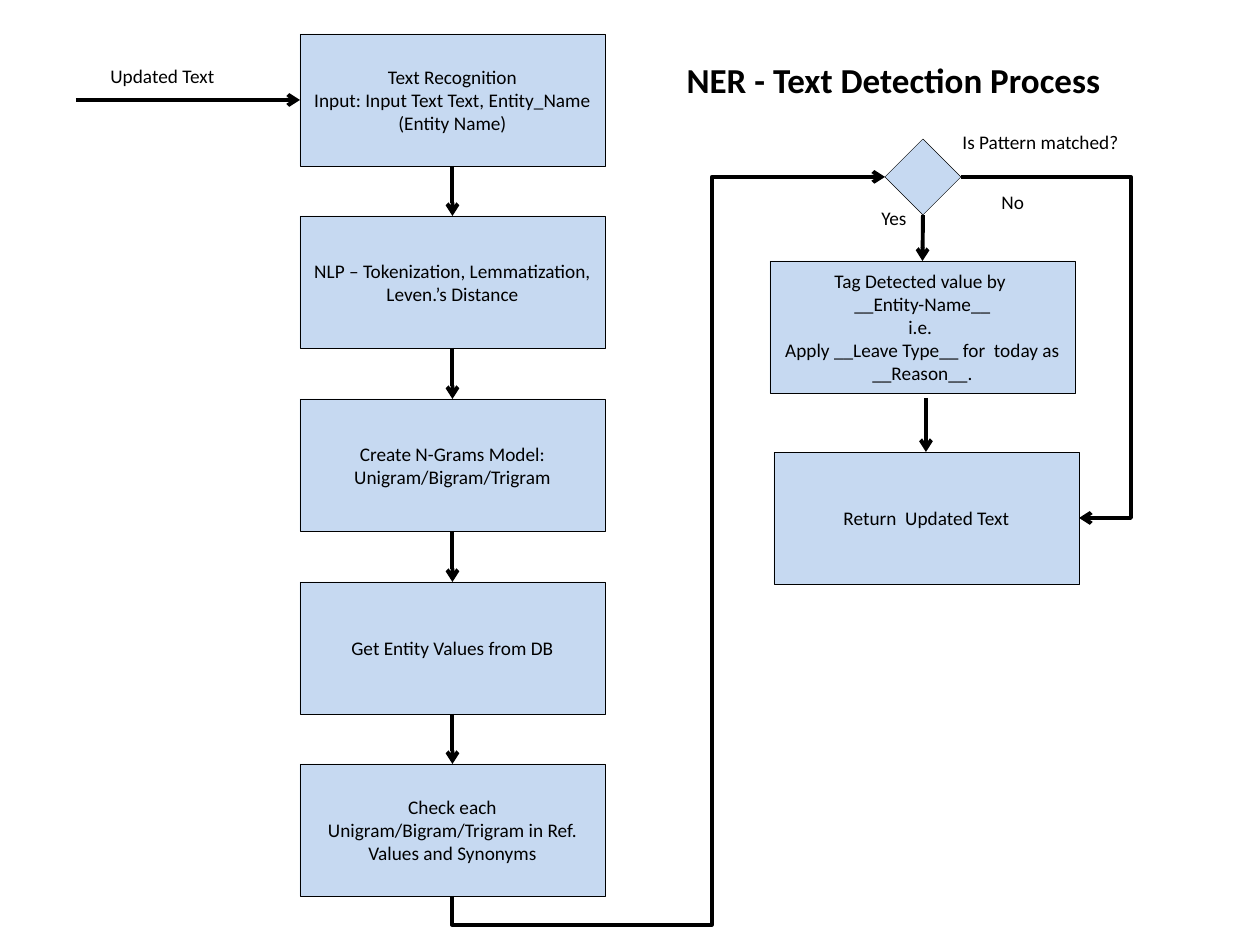
from dataclasses import dataclass

from lxml.etree import SubElement
from pptx import Presentation
from pptx.dml.color import RGBColor
from pptx.enum.shapes import MSO_CONNECTOR as Link, MSO_SHAPE as Shape
from pptx.enum.text import MSO_ANCHOR as Anchor, MSO_AUTO_SIZE as Fit, PP_ALIGN as Align
from pptx.oxml.ns import qn
from pptx.util import Emu, Inches, Pt

TOP, LEFT, BOTTOM, RIGHT = range(4)


@dataclass(frozen=True)
class Theme:
    """Colours, font and sizes of the flowchart."""
    ink: RGBColor = RGBColor(0x00, 0x00, 0x00)
    box_fill: RGBColor = RGBColor(0xC6, 0xD9, 0xF1)
    font: str = "Calibri"
    body_size: float = 11
    title_size: float = 20
    outline: float = 0.25
    arrow: float = 2.25


def px(pixels):
    """Turn picture pixels into EMU."""
    return Emu(round(pixels * Inches(1) / 126))


class Flowchart:
    """Draws the elements of a flowchart on one slide."""

    def __init__(self, page, theme):
        """Keep the slide and its style."""
        self.page, self.theme = page, theme

    def add_lines(self, frame, lines, align, size=None, bold=False):
        """Fill a text frame with one paragraph per line."""
        frame.word_wrap = True
        for index, line in enumerate(lines):
            para = frame.add_paragraph() if index else frame.paragraphs[0]
            para.alignment = align
            span = para.add_run()
            span.text = line
            span.font.name = self.theme.font
            span.font.size = Pt(size or self.theme.body_size)
            span.font.bold = bold
            span.font.color.rgb = self.theme.ink

    def title(self, text, left, top, width, height):
        """Place the slide title."""
        title = self.page.shapes.title
        title.left, title.top, title.width, title.height = map(px, (left, top, width, height))
        title.text_frame.vertical_anchor = Anchor.TOP
        title.text_frame.auto_size = Fit.NONE
        self.add_lines(title.text_frame, [text], Align.LEFT, self.theme.title_size, True)

    def label(self, text, left, top, width, height=37):
        """Add a free-standing label."""
        label = self.page.shapes.add_textbox(*map(px, (left, top, width, height)))
        self.add_lines(label.text_frame, [text], Align.LEFT)
        label.text_frame.auto_size = Fit.SHAPE_TO_FIT_TEXT

    def node(self, lines, left, top, width=305, height=132, kind=Shape.RECTANGLE):
        """Add a step box or a decision diamond."""
        node = self.page.shapes.add_shape(kind, *map(px, (left, top, width, height)))
        node.shadow.inherit = False
        node.fill.solid()
        node.fill.fore_color.rgb = self.theme.box_fill
        node.line.color.rgb = self.theme.ink
        node.line.width = Pt(self.theme.outline)
        node.text_frame.vertical_anchor = Anchor.MIDDLE
        self.add_lines(node.text_frame, lines, Align.CENTER)
        return node

    def arrow(self, start=(0, 0), end=(0, 0), kind=Link.STRAIGHT):
        """Add an arrow between two points."""
        arrow = self.page.shapes.add_connector(kind, *map(px, (*start, *end)))
        arrow.line.color.rgb = self.theme.ink
        arrow.line.width = Pt(self.theme.arrow)
        properties = arrow._element.spPr
        SubElement(properties.find(qn("a:ln")), qn("a:tailEnd"), type="arrow")
        SubElement(properties, qn("a:effectLst"))
        return arrow

    def join(self, source, target):
        """Glue a downward arrow between two nodes."""
        arrow = self.arrow()
        arrow.begin_connect(source, BOTTOM)
        arrow.end_connect(target, TOP)

    def elbow(self, start, end, preset, bends, quarter_turn=False):
        """Add a bent arrow; bends are fractions of its extent."""
        if quarter_turn:
            (x1, y1), (x2, y2) = start, end
            mid_x, mid_y = (x1 + x2) / 2, (y1 + y2) / 2
            half_x, half_y = abs(y2 - y1) / 2, abs(x2 - x1) / 2
            start, end = (mid_x + half_x, mid_y + half_y), (mid_x - half_x, mid_y - half_y)
        properties = self.arrow(start, end, Link.ELBOW)._element.spPr
        if quarter_turn:
            properties.find(qn("a:xfrm")).set("rot", str(90 * 60000))
        geometry = properties.find(qn("a:prstGeom"))
        geometry.set("prst", preset)
        guides = geometry.find(qn("a:avLst"))
        for number, bend in enumerate(bends, 1):
            SubElement(guides, qn("a:gd"), name=f"adj{number}", fmla=f"val {round(bend * 100000)}")


STEPS = [
    ["Text Recognition", "Input: Input Text Text, Entity_Name (Entity Name)"],
    ["NLP – Tokenization, Lemmatization, Leven.’s Distance"],
    ["Create N-Grams Model:", "Unigram/Bigram/Trigram"],
    ["Get Entity Values from DB"],
    ["Check each Unigram/Bigram/Trigram in Ref. Values and Synonyms"],
]
TAGGING = ["Tag Detected value by ", "__Entity-Name__", "i.e. ",
           "Apply __Leave Type__ for  today as __Reason__."]
LABELS = [
    ("Updated Text", 98, 58, 179),
    ("Is Pattern matched?", 950, 124, 231),
    ("Yes", 869, 200, 90),
    ("No", 989, 184, 83),
]


def main():
    """Build the slide and save it."""
    deck = Presentation()
    deck.slide_width, deck.slide_height = Inches(10), Inches(7.5)
    page = deck.slides.add_slide(deck.slide_layouts[5])
    chart = Flowchart(page, Theme())
    chart.title("NER - Text Detection Process", 674, 52, 536, 55)

    steps = [chart.node(lines, 300, round(34 + 182.5 * row)) for row, lines in enumerate(STEPS)]
    for source, target in zip(steps, steps[1:]):
        chart.join(source, target)
    chart.arrow((76, 100), (300, 100))

    decision = chart.node([], 885, 139, 76, 76, Shape.DIAMOND)
    tagging = chart.node(TAGGING, 770, 261)
    chart.node(["Return  Updated Text"], 774, 452)
    chart.join(decision, tagging)
    chart.arrow((926, 398), (926, 452))

    chart.elbow((452, 896), (885, 177), "bentConnector4", [-0.04, 0.6], quarter_turn=True)
    chart.elbow((961, 177), (1079, 518), "bentConnector3", [1.44])
    for label in LABELS:
        chart.label(*label)
    deck.save("out.pptx")


main()
